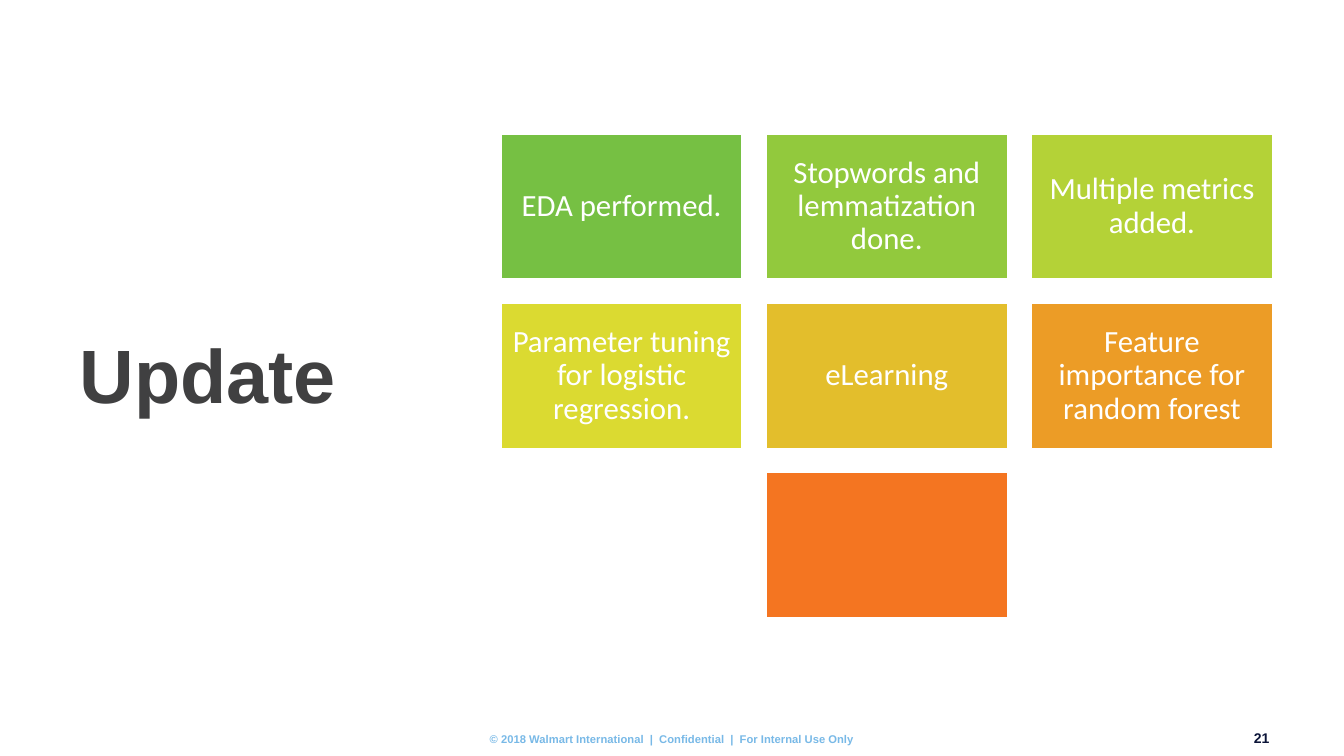
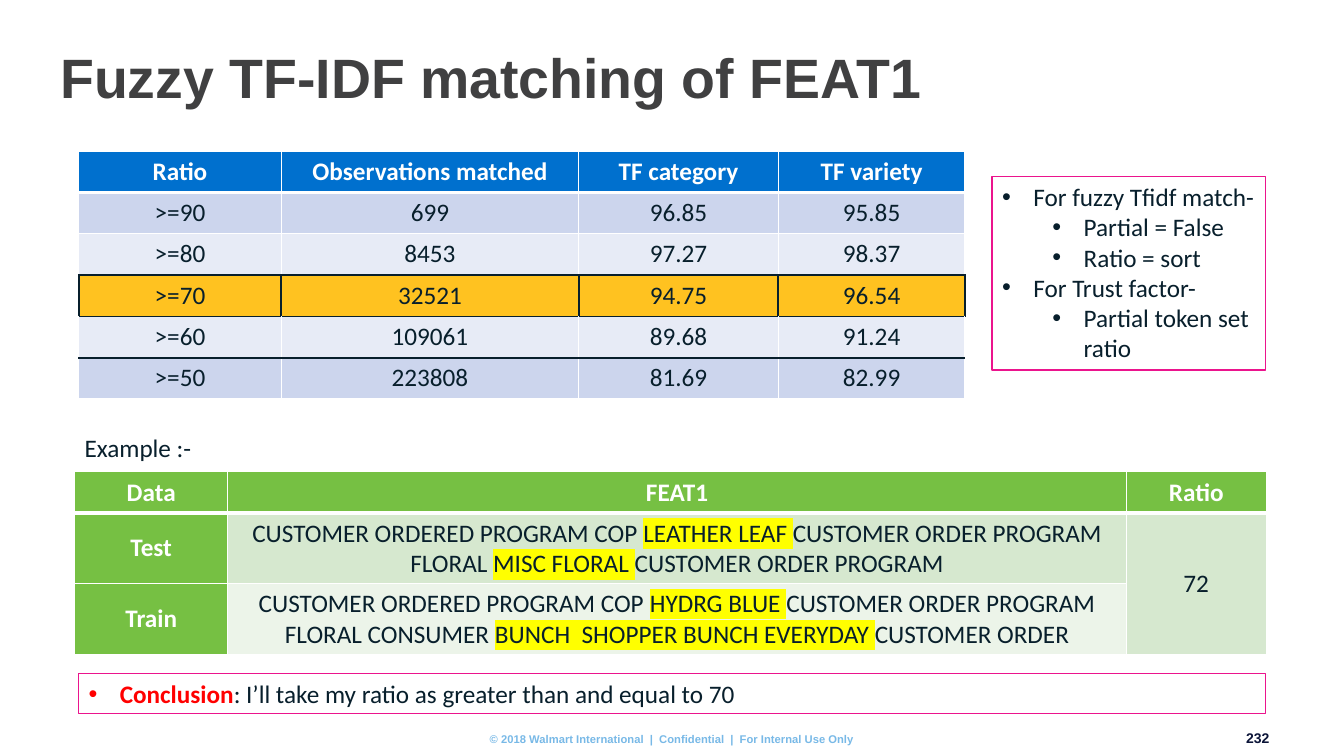
from dataclasses import dataclass

from lxml import etree
from pptx import Presentation
from pptx import util as u
from pptx.dml import color
from pptx.enum import shapes, text
from pptx.oxml import ns


@dataclass(frozen=True)
class Theme:
    heading_font: str = "Arial"
    body_font: str = "Calibri"
    title: str = "404041"
    ink: str = "081F2C"
    white: str = "FFFFFF"
    footer: str = "78B9E7"
    number: str = "0B1438"
    pink: str = "EB148D"
    red: str = "FF0000"
    blue: str = "0070CE"
    green: str = "76C043"
    amber: str = "FFC220"
    blue_bands: tuple = ("CCD5ED", "E7EBF6")
    green_bands: tuple = ("D6E8CF", "ECF4E9")
    marker: str = "FFFF00"
    body_size: float = 18
    tile_size: float = 22
    number_size: float = 10
    footer_size: float = 8


theme = Theme()
rgb = color.RGBColor.from_string
align = text.PP_ALIGN
anchor = text.MSO_ANCHOR


def format_runs(paragraph, size=theme.body_size, ink=theme.ink, bold=False,
                font=theme.body_font, alignment=align.LEFT):
    paragraph.alignment = alignment
    for run in paragraph.runs:
        run.font.size = u.Pt(size)
        run.font.name = font
        run.font.bold = bold
        run.font.color.rgb = rgb(ink)


def style_cell(cell, fill, **edges):
    cell.fill.solid()
    cell.fill.fore_color.rgb = rgb(fill)
    properties = cell._tc.get_or_add_tcPr()
    for index, side in enumerate("LRTB"):
        ink, width = edges.get(side, (theme.white, 1))
        line = etree.Element(ns.qn(f"a:ln{side}"), w=str(u.Pt(width)))
        solid = etree.SubElement(line, ns.qn("a:solidFill"))
        etree.SubElement(solid, ns.qn("a:srgbClr"), val=ink)
        properties.insert(index, line)


presentation = Presentation()
presentation.slide_width = u.Inches(13.33)
presentation.slide_height = u.Inches(7.5)

pages = [
    ("Update", 54, (0.69, 0.7, 3.74, 6.11), "21"),
    ("Fuzzy TF-IDF matching of FEAT1", 39.6, (0.5, 0.5, 11.5, 0.6), "232"),
]
copyright_line = "© 2018 Walmart International  |  Confidential  |  For Internal Use Only"

for title, title_size, title_place, number in pages:
    slide = presentation.slides.add_slide(presentation.slide_layouts[6])
    labels = [
        (title, title_place, title_size, theme.title, align.LEFT, 0.1),
        (copyright_line, (4.55, 7.27, 4.23, 0.13), theme.footer_size, theme.footer, align.CENTER, 0),
        (number, (12.29, 7.24, 0.3, 0.17), theme.number_size, theme.number, align.RIGHT, 0),
    ]
    for wording, place, size, ink, alignment, inset in labels:
        frame = slide.shapes.add_textbox(*map(u.Inches, place)).text_frame
        frame.word_wrap = True
        frame.margin_left = frame.margin_right = u.Inches(inset)
        frame.margin_top = frame.margin_bottom = u.Inches(inset / 2)
        frame.vertical_anchor = anchor.MIDDLE if wording == title else anchor.TOP
        frame.text = wording
        format_runs(frame.paragraphs[0], size, ink, True, theme.heading_font, alignment)
        if wording == title:
            frame.paragraphs[0].line_spacing = 0.9

update_slide, matching_slide = presentation.slides

tile_rows = [
    [("EDA performed.", "76C043"),
     ("Stopwords and lemmatization done.", "92C93D"),
     ("Multiple metrics added.", "B4D237")],
    [("Parameter tuning for logistic regression.", "DBDA31"),
     ("eLearning", "E3BE2C"),
     ("Feature importance for random forest", "EC9C26")],
    [("", "F47521")],
]
tile_width, tile_height, tile_gap = 2.39, 1.44, 0.24
for row, tiles in enumerate(tile_rows):
    first_column = (3 - len(tiles)) / 2
    for column, (wording, fill) in enumerate(tiles, 0):
        left = 4.97 + (first_column + column) * (tile_width + tile_gap)
        top = 1.33 + row * (tile_height + tile_gap)
        tile = update_slide.shapes.add_shape(
            shapes.MSO_SHAPE.RECTANGLE, u.Inches(left), u.Inches(top),
            u.Inches(tile_width), u.Inches(tile_height))
        tile.shadow.inherit = False
        tile.fill.solid()
        tile.fill.fore_color.rgb = rgb(fill)
        tile.line.color.rgb = rgb(theme.white)
        tile.line.width = u.Pt(1)
        if wording:
            frame = tile.text_frame
            frame.word_wrap = True
            frame.margin_left = frame.margin_right = u.Inches(0.09)
            frame.margin_top = frame.margin_bottom = u.Inches(0.09)
            frame.vertical_anchor = anchor.MIDDLE
            frame.text = wording
            frame.paragraphs[0].line_spacing = 0.9
            format_runs(frame.paragraphs[0], theme.tile_size, theme.white, alignment=align.CENTER)

ratio_rows = [
    ("Ratio", "Observations matched", "TF category", "TF variety"),
    (">=90", "699", "96.85", "95.85"),
    (">=80", "8453", "97.27", "98.37"),
    (">=70", "32521", "94.75", "96.54"),
    (">=60", "109061", "89.68", "91.24"),
    (">=50", "223808", "81.69", "82.99"),
]
example_rows = [
    ("Data", "FEAT1", "Ratio"),
    ("Test",
     ("CUSTOMER ORDERED PROGRAM COP ", "LEATHER LEAF ",
      "CUSTOMER ORDER PROGRAM FLORAL ", "MISC FLORAL ", "CUSTOMER ORDER PROGRAM"),
     "72"),
    ("Train",
     ("CUSTOMER ORDERED PROGRAM COP ", "HYDRG BLUE ",
      "CUSTOMER ORDER PROGRAM FLORAL CONSUMER ", "BUNCH  SHOPPER BUNCH EVERYDAY ",
      "CUSTOMER ORDER"),
     ""),
]
thick_white, dark = (theme.white, 3), (theme.ink, 1.5)
ratio_edges = {
    0: {"B": thick_white},
    1: {"T": thick_white},
    2: {"B": dark},
    3: {side: dark for side in "LRTB"},
    4: {"T": dark, "B": dark},
    5: {"T": dark},
}
example_edges = {0: {"B": thick_white}, 1: {"T": thick_white}}
ratio_fills = [theme.blue, *theme.blue_bands, theme.amber, theme.blue_bands[1], theme.blue_bands[0]]
example_fills = [theme.green, *theme.green_bands]

tables = [
    (ratio_rows, 0.78, 1.5, (2.01, 2.95, 1.98, 1.85), [0.41] * 6,
     ratio_fills, ratio_edges, anchor.TOP, False),
    (example_rows, 0.74, 4.68, (1.52, 8.91, 1.39), [0.41, 0.7, 0.7],
     example_fills, example_edges, anchor.MIDDLE, True),
]
for rows, left, top, widths, heights, fills, edges, vertical, side_heading in tables:
    table = matching_slide.shapes.add_table(
        len(rows), len(widths), u.Inches(left), u.Inches(top),
        u.Inches(sum(widths)), u.Inches(sum(heights))).table
    table.horz_banding = False
    for column, width in zip(table.columns, widths):
        column.width = u.Inches(width)
    for row, height in zip(table.rows, heights):
        row.height = u.Inches(height)
    for row, values in enumerate(rows):
        for column, value in enumerate(values):
            cell = table.cell(row, column)
            heading = row == 0 or (side_heading and column == 0)
            style_cell(cell, fills[0] if heading else fills[row], **edges.get(row, {}))
            cell.vertical_anchor = vertical
            paragraph = cell.text_frame.paragraphs[0]
            parts = (value,) if isinstance(value, str) else value
            for part in parts:
                paragraph.add_run().text = part
            format_runs(paragraph, ink=theme.white if heading else theme.ink,
                        bold=heading, alignment=align.CENTER)
            for run in paragraph.runs[1::2]:
                highlight = etree.Element(ns.qn("a:highlight"))
                etree.SubElement(highlight, ns.qn("a:srgbClr"), val=theme.marker)
                run.font._element.find(ns.qn("a:solidFill")).addnext(highlight)
    if side_heading:
        table.cell(1, 2).merge(table.cell(2, 2))

example_label = matching_slide.shapes.add_textbox(
    u.Inches(0.74), u.Inches(4.24), u.Inches(2.89), u.Inches(0.4))
example_label.text_frame.word_wrap = True
example_label.text_frame.text = "Example :-"
format_runs(example_label.text_frame.paragraphs[0])

bullet_boxes = [
    ((9.84, 1.75, 2.71, 1.92), [
        (0, ["For fuzzy Tfidf match-"]),
        (1, ["Partial = False"]),
        (1, ["Ratio = sort"]),
        (0, ["For Trust factor-"]),
        (1, ["Partial token set ratio"]),
    ]),
    ((0.78, 6.68, 11.77, 0.4), [
        (0, ["Conclusion", ": I’ll take my ratio as greater than and equal to 70"]),
    ]),
]
for place, bullets in bullet_boxes:
    box = matching_slide.shapes.add_shape(shapes.MSO_SHAPE.RECTANGLE, *map(u.Inches, place))
    box.shadow.inherit = False
    box.fill.solid()
    box.fill.fore_color.rgb = rgb(theme.white)
    box.line.color.rgb = rgb(theme.pink)
    box.line.width = u.Pt(1)
    frame = box.text_frame
    frame.word_wrap = True
    frame.vertical_anchor = anchor.TOP
    for index, (level, parts) in enumerate(bullets):
        paragraph = frame.add_paragraph() if index else frame.paragraphs[0]
        paragraph.level = level
        properties = paragraph._p.get_or_add_pPr()
        properties.set("marL", str(u.Inches(0.31 + level * 0.5)))
        properties.set("indent", str(u.Inches(-0.31)))
        etree.SubElement(properties, ns.qn("a:buFont"), typeface="Arial")
        etree.SubElement(properties, ns.qn("a:buChar"), char="•")
        for part in parts:
            paragraph.add_run().text = part
        format_runs(paragraph)
        if len(parts) > 1:
            lead = paragraph.runs[0]
            lead.font.bold = True
            lead.font.color.rgb = rgb(theme.red)

presentation.save("out.pptx")
